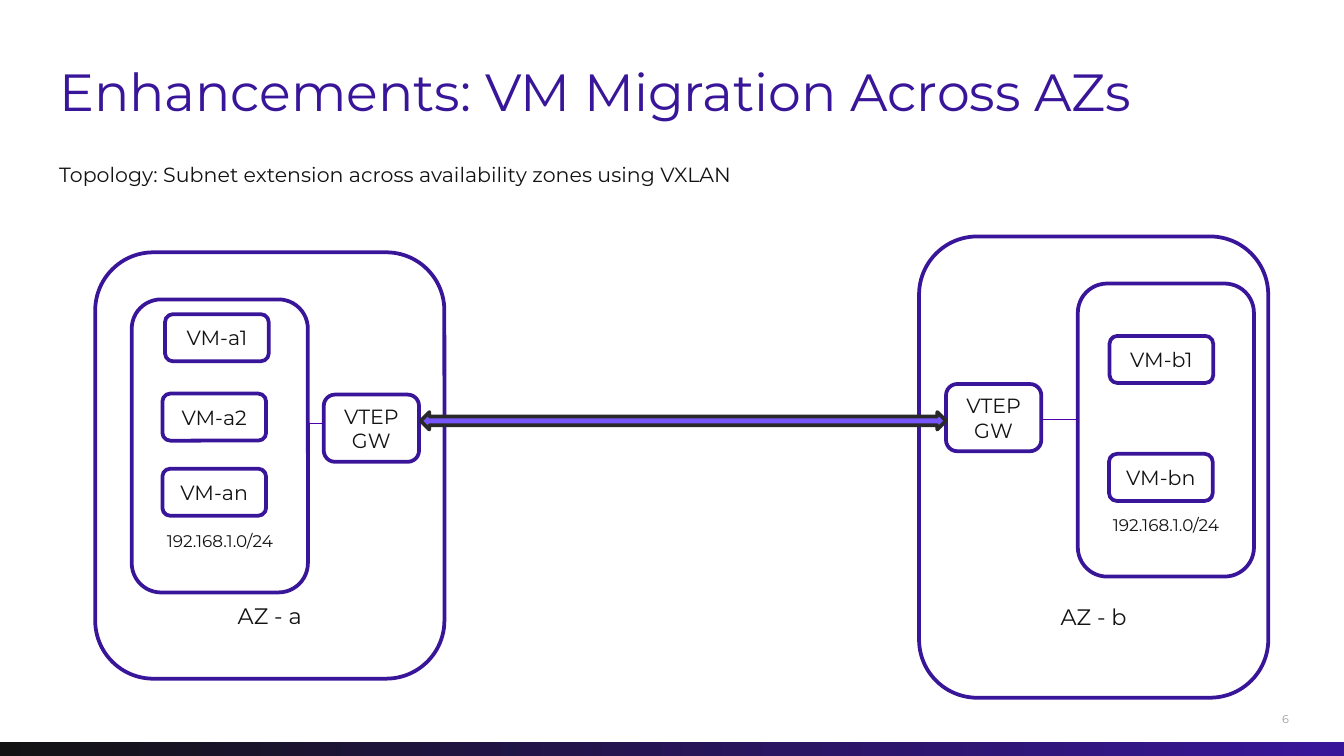
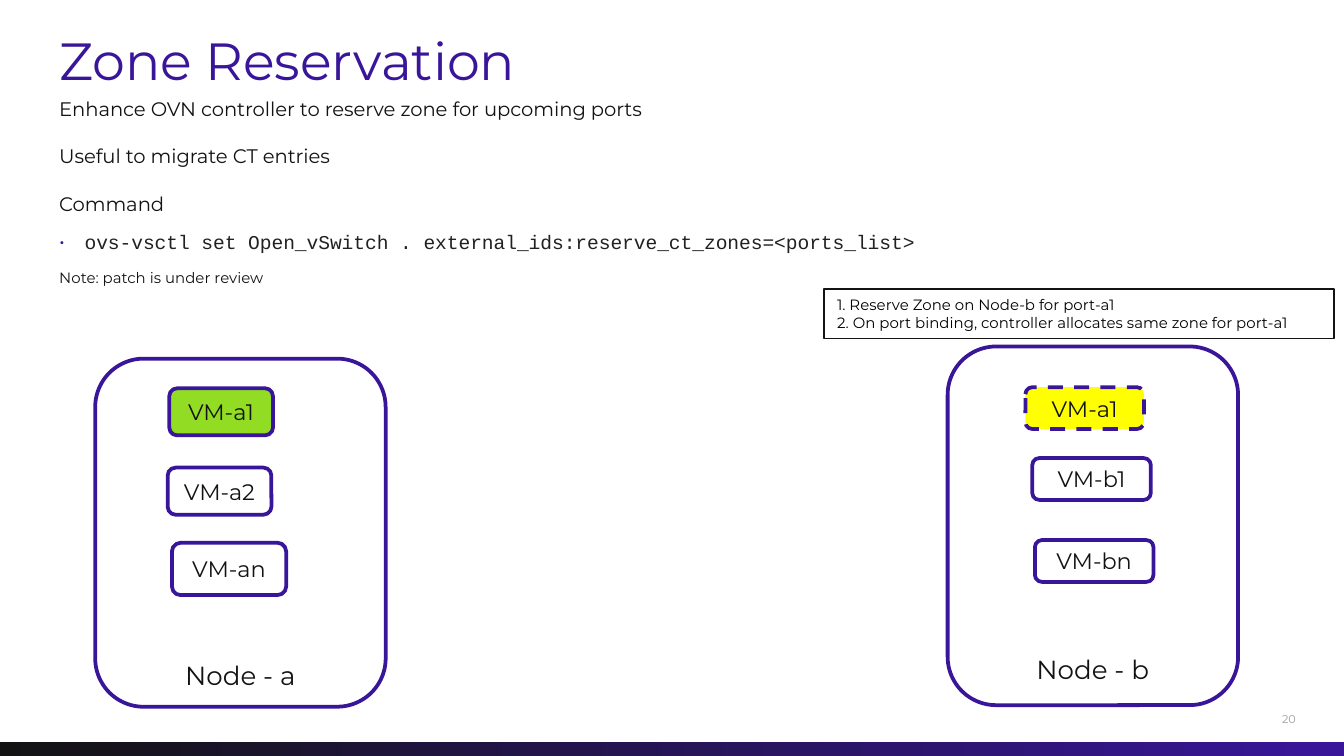
from dataclasses import dataclass

from lxml import etree
from pptx import Presentation
from pptx import util as u
from pptx.dml import color
from pptx.enum import dml, shapes, text
from pptx.oxml import ns

RECT = shapes.MSO_SHAPE.RECTANGLE
ROUND = shapes.MSO_SHAPE.ROUNDED_RECTANGLE
LEFT, CENTER = text.PP_ALIGN.LEFT, text.PP_ALIGN.CENTER
TOP, MIDDLE, BOTTOM = text.MSO_ANCHOR.TOP, text.MSO_ANCHOR.MIDDLE, text.MSO_ANCHOR.BOTTOM


@dataclass(frozen=True)
class Theme:
    font: str = "Montserrat"
    mono: str = "Courier New"
    purple: str = "391699"
    ink: str = "131313"
    code: str = "212121"
    black: str = "000000"
    white: str = "FFFFFF"
    gray: str = "9C9C9C"
    green: str = "92DD23"
    yellow: str = "FFFF00"
    arrow: str = "7855FA"
    arrow_edge: str = "292929"
    link: str = "4B00AA"
    title: float = 28
    node: float = 14
    label: float = 12
    body: float = 11
    list: float = 10.5
    subnet: float = 9
    note: float = 8
    number: float = 6


def apply(obj, fmt):
    for name, value in fmt.items():
        setattr(obj, name, value)


def rgb(value):
    return color.RGBColor.from_string(value)


def lengths(values):
    return [u.Cm(v) for v in values]


class Deck:
    def __init__(self, theme):
        self.t = theme
        self.s = None
        self.prs = Presentation()
        apply(self.prs, {"slide_width": u.Cm(25.4), "slide_height": u.Cm(14.29)})
        self.layout = self.prs.slide_layouts[5]
        for ph in list(self.layout.placeholders):
            if ph.placeholder_format.idx:
                self.layout.shapes.element.remove(ph.element)

    def slide(self, title, at, number):
        self.s = self.prs.slides.add_slide(self.layout)
        if len(self.prs.slides) == 1:
            self.band()
        sp = self.s.shapes.title
        apply(sp, dict(zip(("left", "top", "width", "height"), lengths(at))))
        self.frame(sp.text_frame)
        self.lines(sp.text_frame, [title], size=self.t.title, ink=self.t.purple)
        self.text([number], (24.23, 13.18, 1.17, 0.84), MIDDLE,
                  size=self.t.number, ink=self.t.gray)

    def band(self):
        sp = self.shape(RECT, (0, 14.02, 25.4, 0.27))
        sp.fill.gradient()
        sp.fill.gradient_angle = 0
        for stop, ink in zip(sp.fill.gradient_stops, (self.t.ink, self.t.purple)):
            stop.color.rgb = rgb(ink)
        self.layout.shapes.element.append(sp.element)

    def frame(self, tf, anchor=TOP, margins=(0, 0, 0, 0)):
        apply(tf, {"word_wrap": True, "auto_size": text.MSO_AUTO_SIZE.NONE,
                   "vertical_anchor": anchor})
        sides = ("margin_left", "margin_top", "margin_right", "margin_bottom")
        apply(tf, dict(zip(sides, lengths(margins))))

    def lines(self, tf, lines, align=LEFT, **style):
        tf.clear()
        for i, line in enumerate(lines):
            p = tf.paragraphs[0] if i == 0 else tf.add_paragraph()
            self.paragraph(p, line, align=align, **style)

    def paragraph(self, p, line, size, ink=None, font=None, align=LEFT,
                  before=0, bullet=False):
        apply(p, {"alignment": align, "space_before": u.Pt(before)})
        if bullet:
            self.bullet(p)
        r = p.add_run()
        r.text = line
        apply(r.font, {"name": font or self.t.font, "size": u.Pt(size)})
        r.font.color.rgb = rgb(ink or self.t.ink)

    def bullet(self, p):
        pPr = p._p.get_or_add_pPr()
        pPr.set("marL", str(u.Cm(0.48)))
        pPr.set("indent", str(u.Cm(-0.48)))
        clr = etree.SubElement(pPr, ns.qn("a:buClr"))
        etree.SubElement(clr, ns.qn("a:srgbClr"), val=self.t.purple)
        etree.SubElement(pPr, ns.qn("a:buFont"), typeface=self.t.font)
        etree.SubElement(pPr, ns.qn("a:buChar"), char="•")

    def text(self, lines, at, anchor=TOP, **style):
        tf = self.s.shapes.add_textbox(*lengths(at)).text_frame
        self.frame(tf, anchor)
        self.lines(tf, lines, **style)
        return tf

    def shape(self, kind, at, fill=None, edge=None, weight=2):
        sp = self.s.shapes.add_shape(kind, *lengths(at))
        sp.shadow.inherit = False
        if fill:
            sp.fill.solid()
            sp.fill.fore_color.rgb = rgb(fill)
        else:
            sp.fill.background()
        if edge:
            sp.line.color.rgb = rgb(edge)
            sp.line.width = u.Pt(weight)
        else:
            sp.line.fill.background()
        return sp

    def box(self, label, at, size, fill=None, lift=None, dashed=False):
        sp = self.shape(ROUND, at, fill or self.t.white, self.t.purple)
        if dashed:
            sp.line.dash_style = dml.MSO_LINE.DASH
        anchor = MIDDLE if lift is None else BOTTOM
        self.frame(sp.text_frame, anchor, (0.1, 0, 0.1, lift or 0))
        self.lines(sp.text_frame, [label], CENTER, size=size)

    def callout(self, lines, at):
        sp = self.shape(RECT, at, edge=self.t.ink, weight=1)
        self.frame(sp.text_frame, TOP, (0.25, 0.13, 0.25, 0.13))
        self.lines(sp.text_frame, lines, size=self.t.note, ink=self.t.black)

    def link(self, x1, x2, y):
        c = self.s.shapes.add_connector(shapes.MSO_CONNECTOR.STRAIGHT,
                                        *lengths((x1, y, x2, y)))
        c.line.color.rgb = rgb(self.t.link)
        c.line.width = u.Pt(0.75)
        etree.SubElement(c.element.spPr, ns.qn("a:effectLst"))


def migration(d):
    t = d.t
    d.slide("Enhancements: VM Migration Across AZs", (1.12, 1.12, 20.73, 1.25), "6")
    d.text(["Topology: Subnet extension across availability zones using VXLAN"],
           (1.12, 3.07, 13.36, 1.52), size=t.body)
    zones = [
        ("AZ - a", (1.8, 4.77, 6.6, 8.06), 0.62, (2.49, 5.66), (6.12, 7.46),
         [("VM-a1", 3.12, 5.94), ("VM-a2", 3.07, 7.44), ("VM-an", 3.07, 8.86)],
         (5.82, 6.12, 8)),
        ("AZ - b", (17.37, 4.47, 6.6, 8.72), 0.95, (20.37, 5.36), (17.88, 7.26),
         [("VM-b1", 20.97, 6.35), ("VM-bn", 20.96, 8.58)],
         (19.69, 20.37, 7.93)),
    ]
    for name, at, lift, subnet, gateway, vms, link in zones:
        d.box(name, at, t.label, lift=lift)
        d.box("192.168.1.0/24", (*subnet, 3.33, 5.54), t.subnet, lift=0.62)
        for vm, x, y in vms:
            d.box(vm, (x, y, 1.96, 0.89), t.body)
        d.box("VTEP GW", (*gateway, 1.8, 1.27), t.body)
        d.link(*link)
    d.shape(shapes.MSO_SHAPE.LEFT_RIGHT_ARROW, (7.95, 7.79, 9.93, 0.33),
            t.arrow, t.arrow_edge)


def reservation(d):
    t = d.t
    d.slide("Zone Reservation", (1.12, 0.53, 17.35, 1.25), "20")
    tf = d.text(["Enhance OVN controller to reserve zone for upcoming ports"],
                (1.12, 1.83, 16.36, 2.46), size=t.list)
    rest = [
        ("Useful to migrate CT entries", {"size": t.list, "before": 12.8}),
        ("Command", {"size": t.list, "before": 12.8}),
        ("ovs-vsctl set Open_vSwitch . external_ids:reserve_ct_zones=<ports_list>",
         {"size": t.list, "before": 8, "font": t.mono, "ink": t.code, "bullet": True}),
        ("Note: patch is under review", {"size": t.note, "before": 8}),
    ]
    for line, style in rest:
        d.paragraph(tf.add_paragraph(), line, **style)
    d.box("Node - a", (1.8, 6.78, 5.49, 6.58), t.node, lift=0.04)
    d.box("Node - b", (17.91, 6.55, 5.49, 6.78), t.node, lift=0.12)
    vms = [
        ("VM-a1", (3.2, 7.34, 1.96, 0.89), {"fill": t.green}),
        ("VM-a2", (3.17, 8.84, 1.96, 0.89), {}),
        ("VM-an", (3.25, 10.26, 2.16, 0.99), {}),
        ("VM-b1", (19.51, 8.66, 2.24, 0.79), {}),
        ("VM-bn", (19.56, 10.21, 2.24, 0.79), {}),
        ("VM-a1", (19.38, 7.32, 2.24, 0.79), {"fill": t.yellow, "dashed": True}),
    ]
    for vm, at, style in vms:
        d.box(vm, at, t.label, **style)
    d.callout(["1. Reserve Zone on Node-b for port-a1",
               "2. On port binding, controller allocates same zone for port-a1"],
              (15.57, 5.46, 9.65, 0.94))


def main():
    d = Deck(Theme())
    migration(d)
    reservation(d)
    d.prs.save("out.pptx")


if __name__ == "__main__":
    main()
